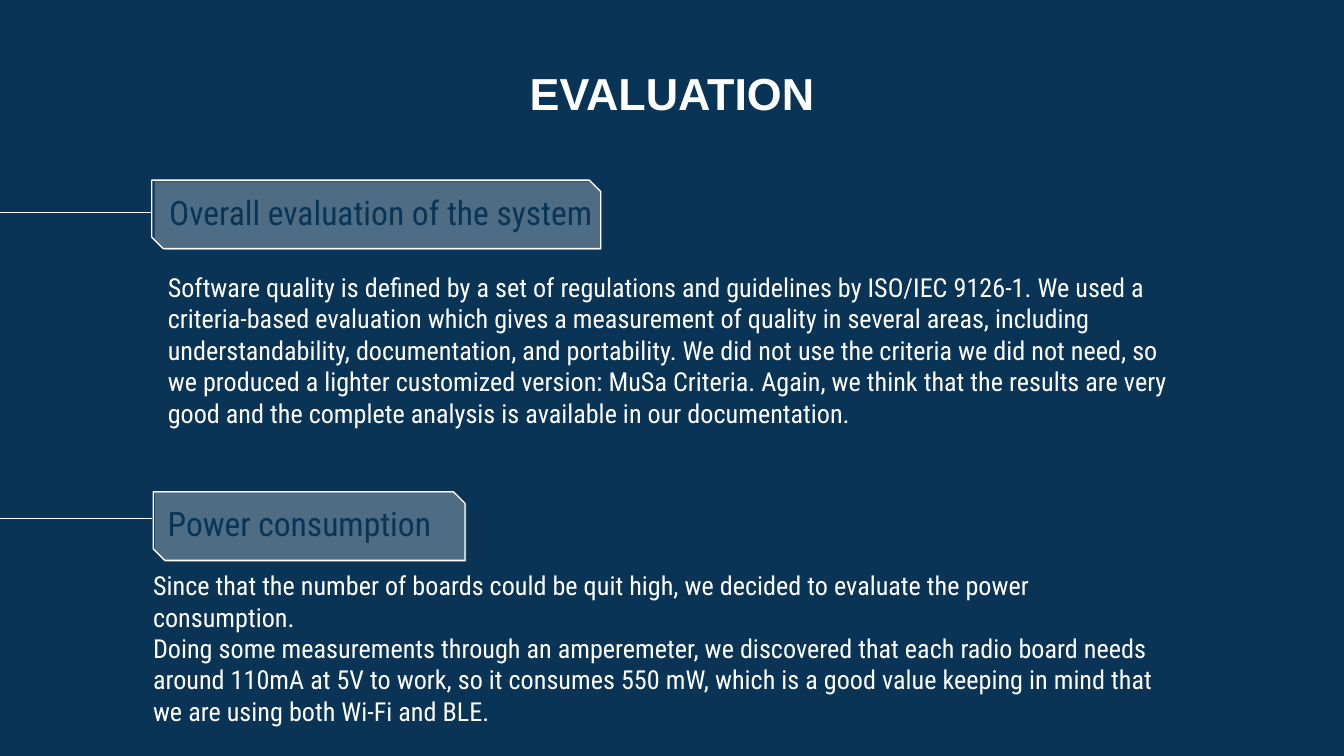
from dataclasses import dataclass

from lxml import etree
from pptx import Presentation
from pptx.dml.color import RGBColor
from pptx.enum.shapes import MSO_CONNECTOR as Connector, MSO_SHAPE as Preset
from pptx.enum.text import MSO_ANCHOR as Anchor, MSO_AUTO_SIZE as AutoSize, PP_ALIGN as Align
from pptx.oxml.ns import qn
from pptx.shapes.autoshape import Shape
from pptx.slide import Slide
from pptx.text.text import TextFrame
from pptx.util import Inches, Pt

NAVY = RGBColor(0x0A, 0x34, 0x55)
WHITE = RGBColor(0xFF, 0xFF, 0xFF)
BODY_FONT = "Roboto Condensed"
SLIDE_WIDTH = 10
SLIDE_HEIGHT = SLIDE_WIDTH * 9 / 16
TAG_HEIGHT = 0.51
LINE_END = 1.13


@dataclass
class Rect:
    left: float
    top: float
    width: float
    height: float

    def lengths(self) -> list[Inches]:
        return [Inches(n) for n in (self.left, self.top, self.width, self.height)]


@dataclass
class Section:
    heading: str
    heading_box: Rect
    outline: Rect
    panel: Rect
    line_top: float
    body: str
    body_box: Rect


SECTIONS = [
    Section(
        "Overall evaluation of the system",
        Rect(1.16, 1.33, 3.41, 0.44),
        Rect(1.13, 1.34, 3.34, TAG_HEIGHT),
        Rect(1.15, 1.35, 3.32, TAG_HEIGHT),
        1.58,
        "Software quality is defined by a set of regulations and guidelines by "
        "ISO/IEC 9126-1. We used a criteria-based evaluation which gives a "
        "measurement of quality in several areas, including understandability, "
        "documentation, and portability. We did not use the criteria we did not "
        "need, so we produced a lighter customized version: MuSa Criteria. Again, "
        "we think that the results are very good and the complete analysis is "
        "available in our documentation.",
        Rect(1.15, 1.97, 7.81, 1.28),
    ),
    Section(
        "Power consumption",
        Rect(1.15, 3.64, 2.47, 0.44),
        Rect(1.14, 3.66, 2.32, TAG_HEIGHT),
        Rect(1.15, 3.67, 2.32, TAG_HEIGHT),
        3.86,
        "Since that the number of boards could be quit high, we decided to "
        "evaluate the power consumption.\n"
        "Doing some measurements through an amperemeter, we discovered that each "
        "radio board needs around 110mA at 5V to work, so it consumes 550 mW, "
        "which is a good value keeping in mind that we are using both Wi-Fi and BLE.",
        Rect(1.04, 4.19, 7.81, 1.04),
    ),
]


def set_insets(frame: TextFrame, inset: float) -> None:
    frame.margin_left = frame.margin_right = Inches(inset)
    frame.margin_top = frame.margin_bottom = Inches(inset)


def add_title(slide: Slide, text: str, rect: Rect) -> None:
    title = slide.shapes.title
    title.left, title.top, title.width, title.height = rect.lengths()
    frame = title.text_frame
    frame.text = text
    frame.word_wrap = True
    frame.auto_size = AutoSize.NONE
    frame.vertical_anchor = Anchor.TOP
    set_insets(frame, 0.1)
    para = frame.paragraphs[0]
    para.alignment = Align.CENTER
    font = para.runs[0].font
    font.name, font.size, font.bold = "Arial", Pt(24), True
    font.color.rgb = WHITE


def add_text(slide: Slide, text: str, rect: Rect, size: int, color: RGBColor) -> TextFrame:
    frame = slide.shapes.add_textbox(*rect.lengths()).text_frame
    frame.word_wrap = True
    frame.text = text
    for para in frame.paragraphs:
        for span in para.runs:
            span.font.name, span.font.size = BODY_FONT, Pt(size)
            span.font.color.rgb = color
    return frame


def add_tag(slide: Slide, rect: Rect) -> Shape:
    tag = slide.shapes.add_shape(Preset.SNIP_2_DIAG_RECTANGLE, *rect.lengths())
    tag.adjustments[0] = 0
    tag.adjustments[1] = 0.167
    tag.shadow.inherit = False
    return tag


def add_panel(slide: Slide, rect: Rect) -> None:
    panel = add_tag(slide, rect)
    panel.fill.solid()
    panel.fill.fore_color.rgb = WHITE
    panel.line.fill.background()
    color = panel._element.spPr.find(qn("a:solidFill")).find(qn("a:srgbClr"))
    etree.SubElement(color, qn("a:alpha")).set("val", "28000")


def add_outline(slide: Slide, rect: Rect) -> None:
    outline = add_tag(slide, rect)
    outline.fill.background()
    outline.line.color.rgb = WHITE
    outline.line.width = Pt(0.75)


def add_lead_line(slide: Slide, top: float) -> None:
    line = slide.shapes.add_connector(
        Connector.STRAIGHT, Inches(LINE_END), Inches(top), Inches(0), Inches(top)
    )
    line.line.color.rgb = WHITE
    line.line.width = Pt(0.75)
    etree.SubElement(line._element.spPr, qn("a:effectLst"))


def add_section(slide: Slide, section: Section) -> None:
    add_lead_line(slide, section.line_top)
    add_panel(slide, section.panel)
    add_outline(slide, section.outline)
    heading = add_text(slide, section.heading, section.heading_box, 18, NAVY)
    set_insets(heading, 0.1)
    body = add_text(slide, section.body, section.body_box, 14, WHITE)
    body.auto_size = AutoSize.SHAPE_TO_FIT_TEXT


def main() -> None:
    deck = Presentation()
    deck.slide_width, deck.slide_height = Inches(SLIDE_WIDTH), Inches(SLIDE_HEIGHT)
    page = deck.slides.add_slide(deck.slide_layouts[5])
    page.background.fill.solid()
    page.background.fill.fore_color.rgb = NAVY
    add_title(page, "EVALUATION", Rect(2.15, 0.39, 5.7, 1.03))
    for section in SECTIONS:
        add_section(page, section)
    deck.save("out.pptx")


if __name__ == "__main__":
    main()
